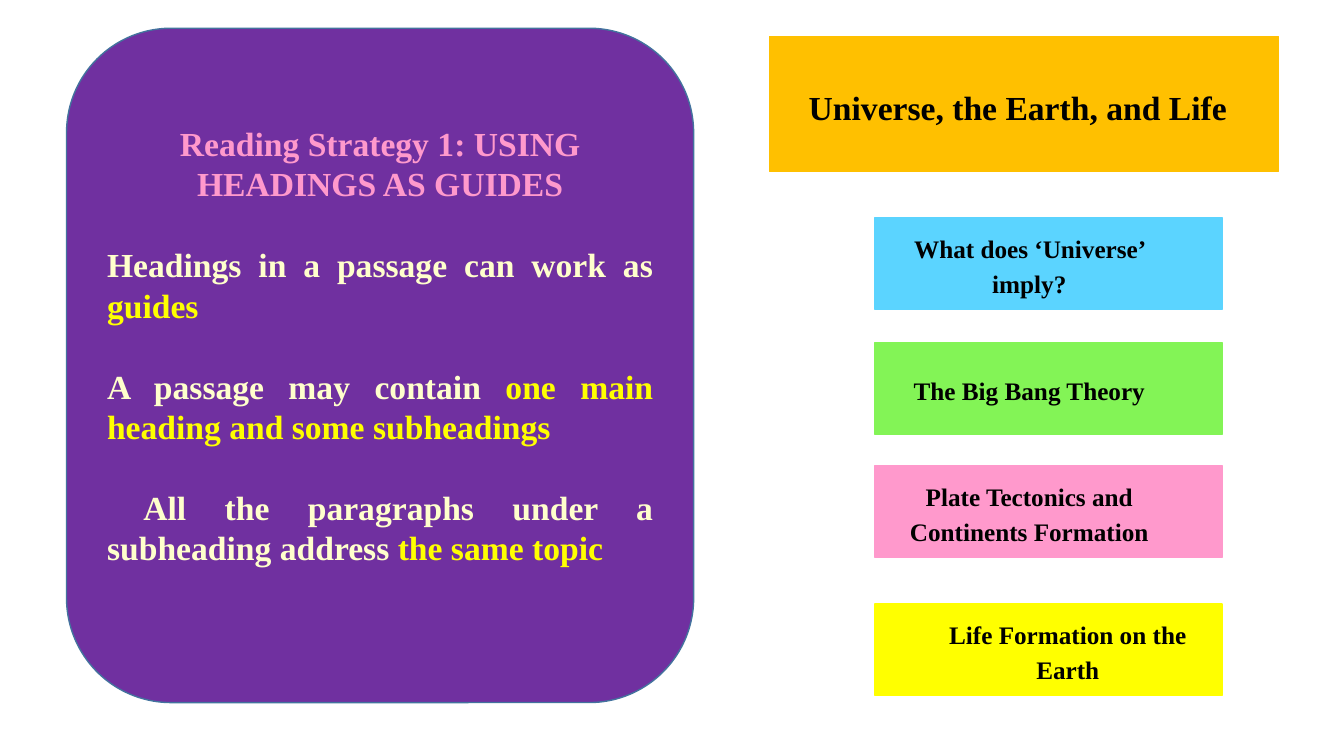
"""Build the slide on using headings as guides when reading."""
from dataclasses import dataclass

import pptx
import pptx.dml.color
import pptx.enum.shapes
import pptx.enum.text
import pptx.shapes.autoshape
import pptx.slide
import pptx.text.text
import pptx.util

Inches = pptx.util.Inches
Align = pptx.enum.text.PP_ALIGN
Shapes = pptx.enum.shapes.MSO_SHAPE


@dataclass(frozen=True)
class Theme:
    """Colours, font and type sizes of the slide."""
    font: str = "Times New Roman"
    large: int = 24
    small: int = 18
    black: str = "000000"
    panel: str = "7030A0"
    panel_line: str = "43739E"
    orange: str = "FFC000"
    blue: str = "5BD4FF"
    green: str = "83F456"
    pink: str = "FF99CC"
    yellow: str = "FFFF00"
    cream: str = "FFFFCC"


THEME = Theme()


@dataclass(frozen=True)
class Subheading:
    """One coloured box under the main heading."""
    text: str
    top: float
    fill: str
    left_inset: float = 0.1
    right_inset: float = 0.48


@dataclass(frozen=True)
class Point:
    """One explanation with its highlighted ending."""
    text: str
    highlight: str
    indent: float = 0


SUBHEADINGS = (
    Subheading("What does ‘Universe’ imply?", 2.16, THEME.blue),
    Subheading("The Big Bang Theory", 3.4, THEME.green),
    Subheading("Plate Tectonics and Continents Formation", 4.62, THEME.pink),
    Subheading("Life Formation on the Earth", 5.99, THEME.yellow, 0.48, 0.1),
)
POINTS = (
    Point("Headings in a passage can work as ", "guides"),
    Point("A passage may contain ", "one main heading and some subheadings"),
    Point("All the paragraphs under a subheading address ", "the same topic", 0.36),
)


def colour(value: str) -> pptx.dml.color.RGBColor:
    """Turn a hexadecimal value into a colour."""
    return pptx.dml.color.RGBColor.from_string(value)


def add_text(paragraph: pptx.text.text._Paragraph, text: str, *,
             size: int = THEME.large, color: str = THEME.black) -> None:
    """Add a bold run to a paragraph."""
    run = paragraph.add_run()
    run.text = text
    run.font.name = THEME.font
    run.font.size = pptx.util.Pt(size)
    run.font.bold = True
    run.font.color.rgb = colour(color)


def paint(shape: pptx.shapes.autoshape.Shape, fill: str, line: str) -> None:
    """Fill and outline a shape and centre its text vertically."""
    shape.fill.solid()
    shape.fill.fore_color.rgb = colour(fill)
    shape.line.color.rgb = colour(line)
    shape.line.width = pptx.util.Pt(1)
    shape.shadow.inherit = False
    frame = shape.text_frame
    frame.word_wrap = True
    frame.auto_size = pptx.enum.text.MSO_AUTO_SIZE.NONE
    frame.vertical_anchor = pptx.enum.text.MSO_ANCHOR.MIDDLE


def write_heading(shape: pptx.shapes.autoshape.Shape, text: str, size: int,
                  left_inset: float, right_inset: float) -> None:
    """Write one centred heading between two side insets."""
    frame = shape.text_frame
    frame.margin_left = Inches(left_inset)
    frame.margin_right = Inches(right_inset)
    paragraph = frame.paragraphs[0]
    paragraph.alignment = Align.CENTER
    paragraph.line_spacing = 1.15
    add_text(paragraph, text, size=size)


def add_main_heading(slide: pptx.slide.Slide) -> None:
    """Place the main heading in the title placeholder."""
    title = slide.shapes.title
    title.left, title.top = Inches(7.63), Inches(0.36)
    title.width, title.height = Inches(5.05), Inches(1.34)
    paint(title, THEME.orange, THEME.orange)
    write_heading(title, "Universe, the Earth, and Life", THEME.large, 0.28, 0.4)


def add_subheading(slide: pptx.slide.Slide, subheading: Subheading) -> None:
    """Draw one subheading box."""
    shape = slide.shapes.add_shape(
        Shapes.RECTANGLE, Inches(8.68), Inches(subheading.top),
        Inches(3.44), Inches(0.91))
    paint(shape, subheading.fill, subheading.fill)
    write_heading(shape, subheading.text, THEME.small,
                  subheading.left_inset, subheading.right_inset)


def add_strategy_panel(slide: pptx.slide.Slide) -> None:
    """Draw the rounded panel with the strategy and its points."""
    panel = slide.shapes.add_shape(
        Shapes.ROUNDED_RECTANGLE, Inches(0.66), Inches(0.28),
        Inches(6.22), Inches(6.69))
    paint(panel, THEME.panel, THEME.panel_line)
    frame = panel.text_frame
    frame.margin_bottom = Inches(0.45)
    heading = frame.paragraphs[0]
    heading.alignment = Align.CENTER
    add_text(heading, "Reading Strategy 1: USING HEADINGS AS GUIDES",
             color=THEME.pink)
    for point in POINTS:
        paragraph = frame.add_paragraph()
        paragraph.alignment = Align.JUSTIFY
        paragraph.space_before = pptx.util.Pt(29)
        paragraph._p.get_or_add_pPr().set("indent", str(Inches(point.indent)))
        add_text(paragraph, point.text, color=THEME.cream)
        add_text(paragraph, point.highlight, color=THEME.yellow)


def main() -> None:
    """Build and save the presentation."""
    presentation = pptx.Presentation()
    presentation.slide_width = Inches(13.33)
    presentation.slide_height = Inches(7.5)
    slide = presentation.slides.add_slide(presentation.slide_layouts[5])
    add_strategy_panel(slide)
    add_main_heading(slide)
    for subheading in SUBHEADINGS:
        add_subheading(slide, subheading)
    presentation.save("out.pptx")


if __name__ == "__main__":
    main()
